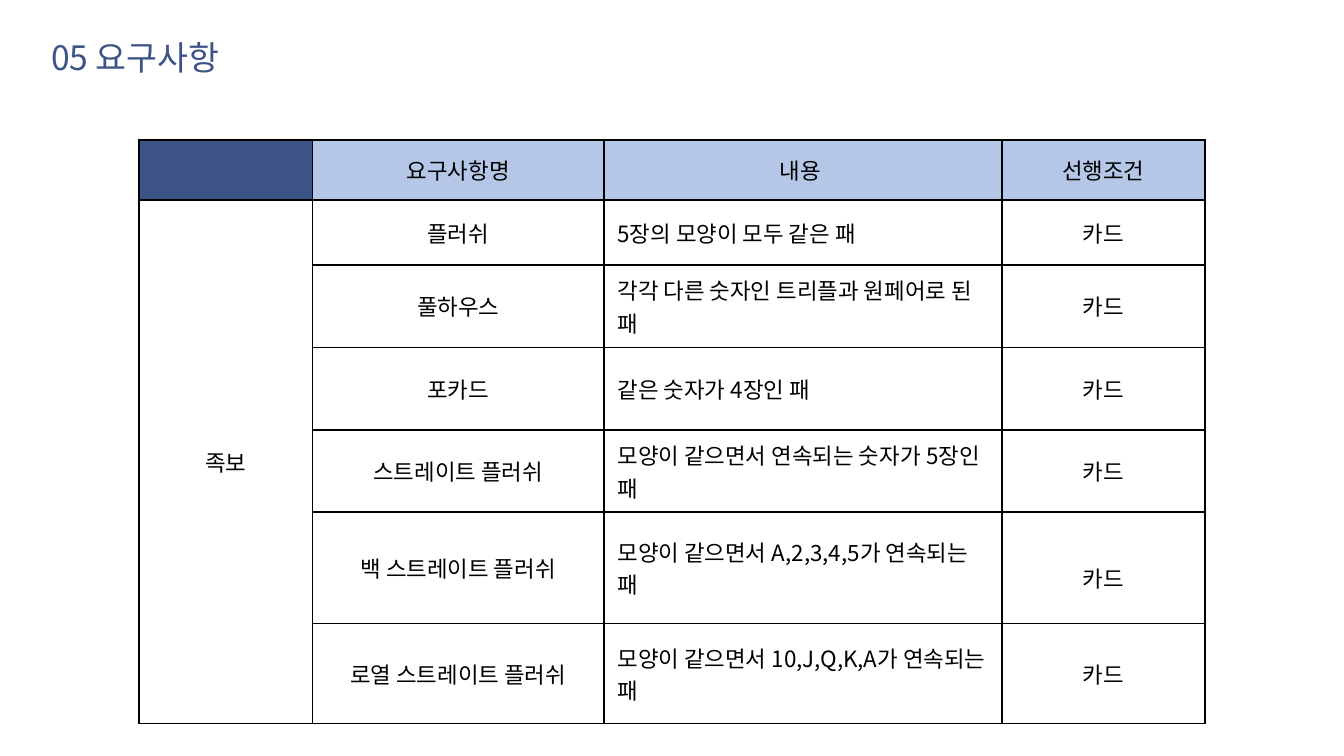
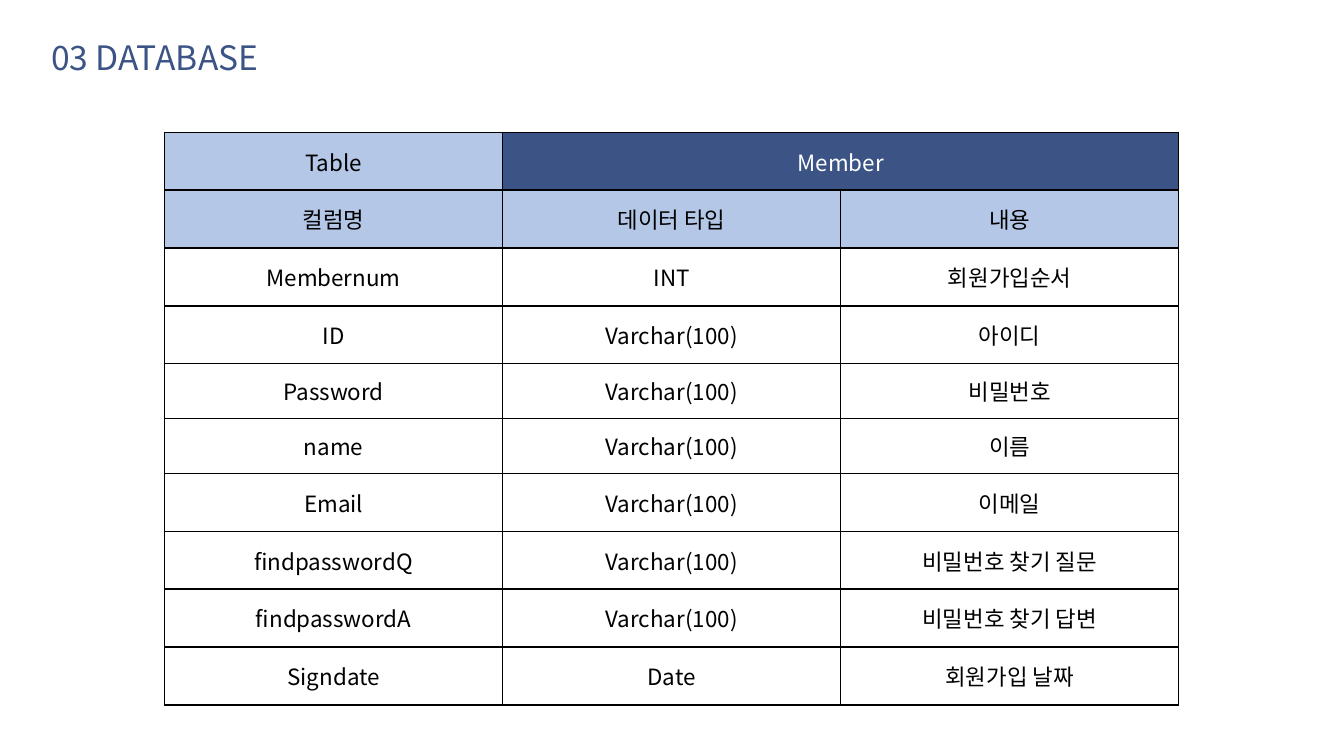
from dataclasses import dataclass

import lxml.etree
import pptx
import pptx.dml.color
import pptx.enum.text
import pptx.oxml.ns
import pptx.util

PX = 4572  # EMU; 200 px to the inch

Align = pptx.enum.text.PP_ALIGN
Anchor = pptx.enum.text.MSO_ANCHOR
qn = pptx.oxml.ns.qn


@dataclass(frozen=True)
class Theme:
    font: str = "Noto Sans CJK KR"
    navy: str = "3B5385"
    sky: str = "B4C7E7"
    black: str = "000000"
    white: str = "FFFFFF"
    title_size: int = 18
    cell_size: int = 12
    border_width: int = 1


THEME = Theme()


@dataclass(frozen=True)
class Inset:
    x: int
    y: int


NARROW = Inset(14, 8)
MEDIUM = Inset(20, 10)
WIDE = Inset(26, 12)


@dataclass(frozen=True)
class Merge:
    first: tuple[int, int]
    last: tuple[int, int]
    inset: Inset


@dataclass(frozen=True)
class TablePage:
    """Cell positions are (row, column) pairs."""
    title: str
    left: int
    top: int
    columns: list[int]
    heights: list[int]
    rows: list[list[str]]
    header_rows: int
    navy_cell: tuple[int, int]
    merge: Merge
    inset: Inset
    left_aligned: tuple[int, ...] = ()
    loose_cells: tuple[tuple[int, int], ...] = ()


HANDS = [
    ("플러쉬", "5장의 모양이 모두 같은 패"),
    ("풀하우스", "각각 다른 숫자인 트리플과 원페어로 된 패"),
    ("포카드", "같은 숫자가 4장인 패"),
    ("스트레이트 플러쉬", "모양이 같으면서 연속되는 숫자가 5장인 패"),
    ("백 스트레이트 플러쉬", "모양이 같으면서 A,2,3,4,5가 연속되는 패"),
    ("로열 스트레이트 플러쉬", "모양이 같으면서 10,J,Q,K,A가 연속되는 패"),
]

REQUIREMENTS = TablePage(
    title="05 요구사항",
    left=207, top=208,
    columns=[258, 434, 592, 302],
    heights=[90, 96, 123, 123, 122, 166, 149],
    rows=[["", "요구사항명", "내용 ", "선행조건"]]
    + [["" if i else "족보", name, rule, "카드"] for i, (name, rule) in enumerate(HANDS)],
    header_rows=1,
    navy_cell=(0, 0),
    merge=Merge((1, 0), (6, 0), WIDE),
    inset=MEDIUM,
    left_aligned=(2,),
    loose_cells=((5, 3),),
)

DATABASE = TablePage(
    title="03 DATABASE",
    left=245, top=197,
    columns=[503] * 3,
    heights=[86] * 4 + [82] * 2 + [86] * 4,
    rows=[
        ["Table", "Member", ""],
        ["컬럼명", "데이터 타입", "내용"],
        ["Membernum", "INT", "회원가입순서"],
        ["ID", "Varchar(100)", "아이디"],
        ["Password", "Varchar(100)", "비밀번호"],
        ["name", "Varchar(100)", "이름"],
        ["Email", "Varchar(100)", "이메일"],
        ["findpasswordQ", "Varchar(100)", "비밀번호 찾기 질문"],
        ["findpasswordA", "Varchar(100)", "비밀번호 찾기 답변"],
        ["Signdate", "Date", "회원가입 날짜"],
    ],
    header_rows=2,
    navy_cell=(0, 1),
    merge=Merge((0, 1), (0, 2), NARROW),
    inset=NARROW,
)


def rgb(value: str) -> pptx.dml.color.RGBColor:
    return pptx.dml.color.RGBColor.from_string(value)


def style_text(para, size: int, color: str) -> None:
    for span in para.runs:
        span.font.size = pptx.util.Pt(size)
        span.font.color.rgb = rgb(color)
        span.font.name = THEME.font
        lxml.etree.SubElement(span.font._element, qn("a:ea"), typeface=THEME.font)
    if not para.runs:
        lxml.etree.SubElement(para._p, qn("a:endParaRPr"), sz=str(size * 100))


def set_margins(target, inset: Inset) -> None:
    target.margin_left = target.margin_right = inset.x * PX
    target.margin_top = target.margin_bottom = inset.y * PX


def add_borders(cell) -> None:
    properties = cell._tc.get_or_add_tcPr()
    width = str(pptx.util.Pt(THEME.border_width))
    for side in ("a:lnL", "a:lnR", "a:lnT", "a:lnB"):
        line = lxml.etree.SubElement(properties, qn(side), w=width)
        fill = lxml.etree.SubElement(line, qn("a:solidFill"))
        lxml.etree.SubElement(fill, qn("a:srgbClr"), val=THEME.black)


def add_title(page, text: str) -> None:
    box = page.shapes.add_textbox(62 * PX, 47 * PX, 468 * PX, 76 * PX)
    frame = box.text_frame
    frame.word_wrap = True
    frame.auto_size = pptx.enum.text.MSO_AUTO_SIZE.SHAPE_TO_FIT_TEXT
    set_margins(frame, NARROW)
    frame.text = text
    style_text(frame.paragraphs[0], THEME.title_size, THEME.navy)


def fill_cell(cell, spec: TablePage, row: int, column: int) -> None:
    place = (row, column)
    is_navy = place == spec.navy_cell
    add_borders(cell)
    if is_navy or row < spec.header_rows:
        cell.fill.solid()
        cell.fill.fore_color.rgb = rgb(THEME.navy if is_navy else THEME.sky)
    else:
        cell.fill.background()
    set_margins(cell, spec.merge.inset if place == spec.merge.first else spec.inset)
    cell.vertical_anchor = Anchor.MIDDLE

    cell.text_frame.text = spec.rows[row][column]
    para = cell.text_frame.paragraphs[0]
    is_left = row >= spec.header_rows and column in spec.left_aligned
    para.alignment = Align.LEFT if is_left else Align.CENTER
    if place in spec.loose_cells:
        para.line_spacing = 1.6
    style_text(para, THEME.cell_size, THEME.white if is_navy else THEME.black)


def add_grid(page, spec: TablePage) -> None:
    frame = page.shapes.add_table(
        len(spec.heights), len(spec.columns), spec.left * PX, spec.top * PX,
        sum(spec.columns) * PX, sum(spec.heights) * PX)
    table = frame.table
    table.first_row = table.horz_banding = False
    for column, width in zip(table.columns, spec.columns):
        column.width = width * PX
    for row, height in zip(table.rows, spec.heights):
        row.height = height * PX
    for row in range(len(spec.heights)):
        for column in range(len(spec.columns)):
            fill_cell(table.cell(row, column), spec, row, column)
    table.cell(*spec.merge.first).merge(table.cell(*spec.merge.last))


def main() -> None:
    deck = pptx.Presentation()
    deck.slide_width, deck.slide_height = 2000 * PX, 1125 * PX
    for spec in (REQUIREMENTS, DATABASE):
        page = deck.slides.add_slide(deck.slide_layouts[6])
        add_title(page, spec.title)
        add_grid(page, spec)
    deck.save("out.pptx")


if __name__ == "__main__":
    main()
